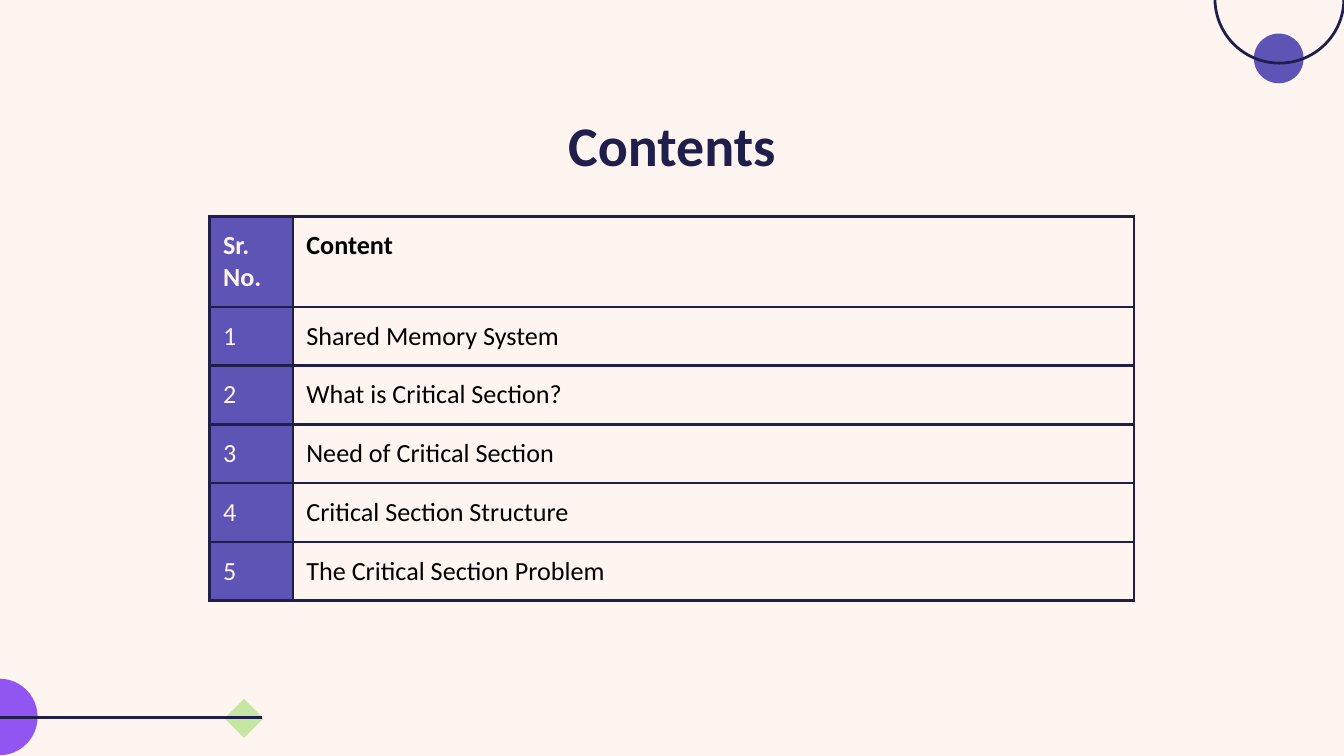
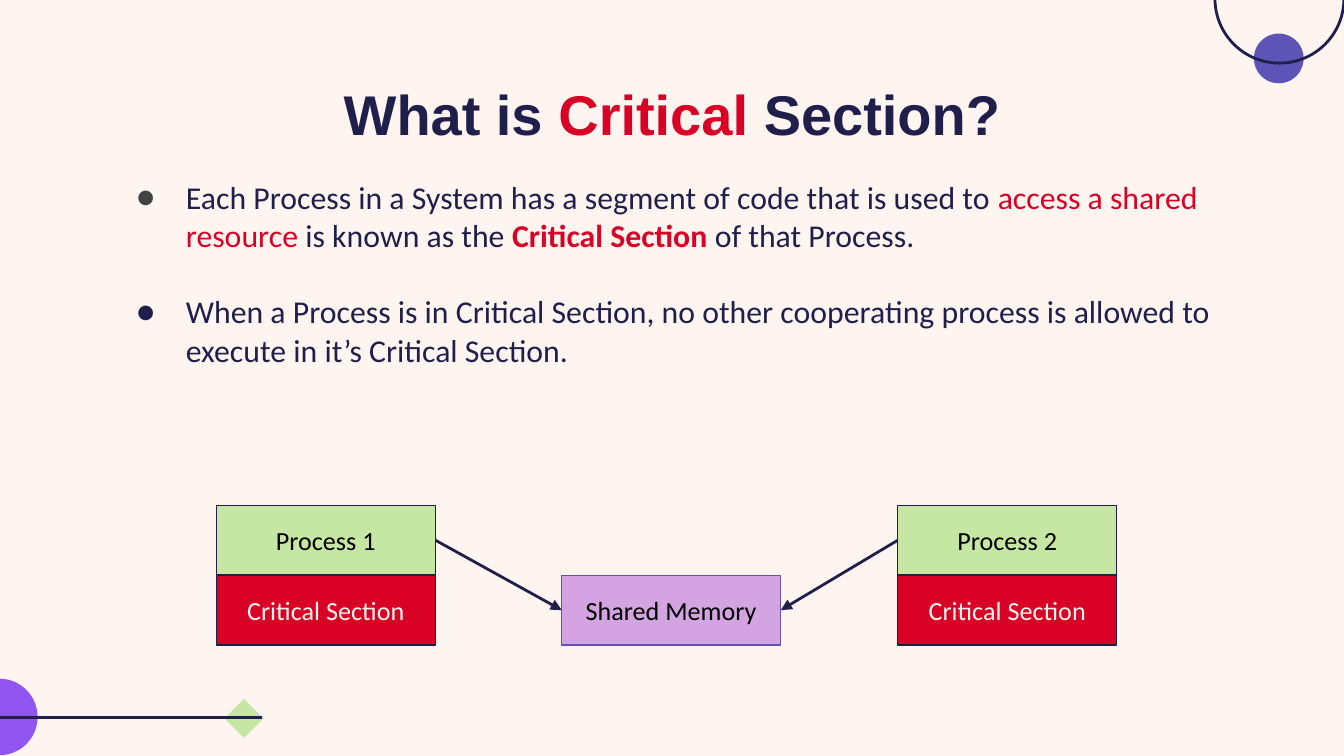
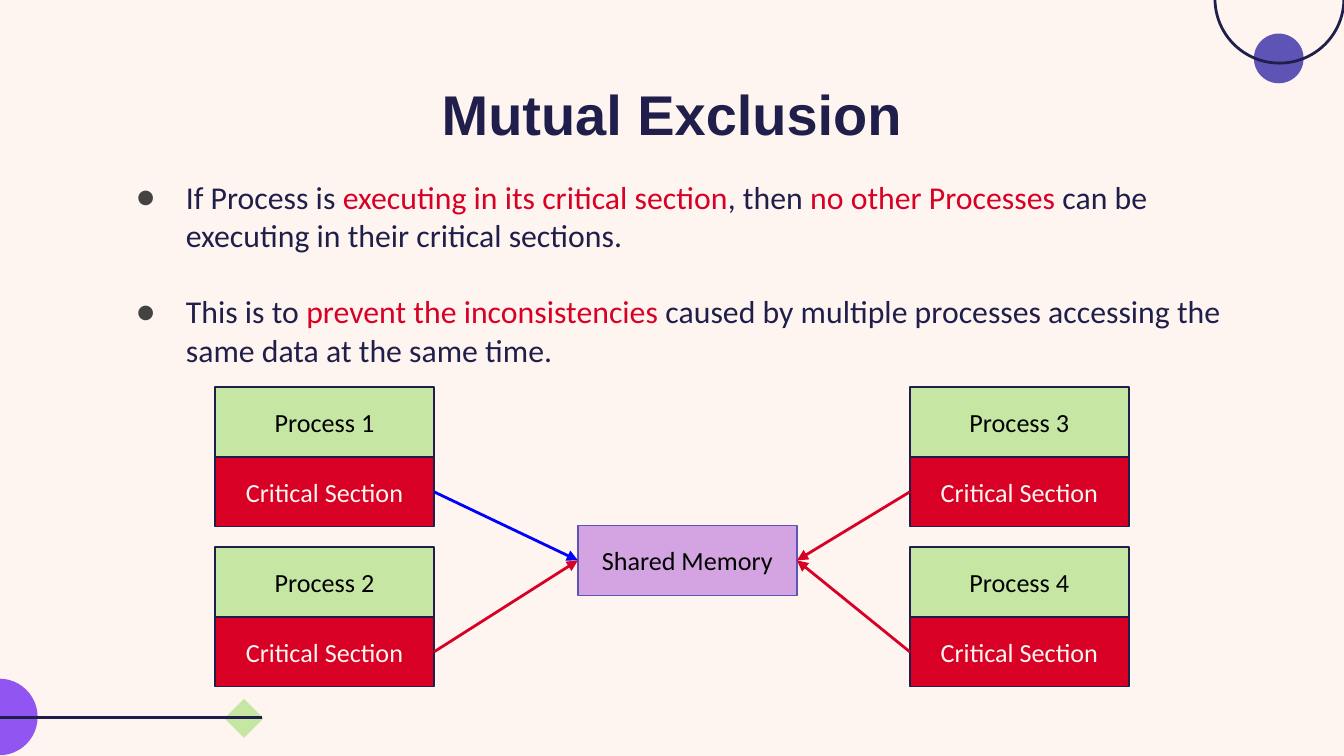
"""Build three slides on critical sections and mutual exclusion."""
import dataclasses

import lxml.etree
import pptx
import pptx.dml.color
import pptx.enum.shapes
import pptx.enum.text
import pptx.oxml.ns
import pptx.util

Inches, Pt = pptx.util.Inches, pptx.util.Pt
Color = pptx.dml.color.RGBColor.from_string
Shape = pptx.enum.shapes.MSO_SHAPE
Align, Anchor = pptx.enum.text.PP_ALIGN, pptx.enum.text.MSO_ANCHOR
qn = pptx.oxml.ns.qn


@dataclasses.dataclass(frozen=True)
class Theme:
    cream: str = "FEF5F0"
    navy: str = "201F4B"
    indigo: str = "5E54B5"
    violet: str = "9156F1"
    green: str = "C6E6A3"
    lilac: str = "D4A4E2"
    red: str = "D80024"
    blue: str = "0000FF"
    gray: str = "434343"
    black: str = "000000"
    body_font: str = "Calibri"
    title_font: str = "Arial"
    title_size: int = 30
    body_size: int = 17
    label_size: int = 14
    rule: float = 1.5
    border: float = 0.75
    inset: float = 0.1


theme = Theme()


def write(para, text, color=theme.navy, size=theme.label_size, font=theme.body_font, bold=False):
    span = para.add_run()
    span.text = text
    span.font.name, span.font.size, span.font.bold = font, Pt(size), bold
    span.font.color.rgb = Color(color)


def draw_line(page, start, end, color, arrow=False):
    points = [Inches(value) for value in (*start, *end)]
    line = page.shapes.add_connector(pptx.enum.shapes.MSO_CONNECTOR.STRAIGHT, *points)
    line.line.color.rgb = Color(color)
    line.line.width = Pt(theme.rule)
    if arrow:
        lxml.etree.SubElement(line.line._get_or_add_ln(), qn("a:tailEnd"), type="triangle")
    lxml.etree.SubElement(line.element.spPr, qn("a:effectLst"))
    return line


deck = pptx.Presentation()
deck.slide_width = Inches(10)
deck.slide_height = deck.slide_width * 9 // 16
text_width = Inches(8.43)
text_left = (deck.slide_width - text_width) // 2
background = deck.slide_master.background.fill
background.solid()
background.fore_color.rgb = Color(theme.cream)
layout = deck.slide_layouts[5]
for holder in list(layout.placeholders)[1:]:
    holder.element.getparent().remove(holder.element)

titles = [
    (0.72, theme.body_font, [("Contents", theme.navy)]),
    (0.49, theme.title_font, [("What is ", theme.navy), ("Critical ", theme.red), ("Section?", theme.navy)]),
    (0.49, theme.title_font, [("Mutual Exclusion", theme.navy)]),
]
pages = []
for top, font, spans in titles:
    page = deck.slides.add_slide(layout)
    pages.append(page)
    title = page.shapes.title
    title.left, title.top, title.width, title.height = text_left, Inches(top), text_width, Inches(0.63)
    frame = title.text_frame
    frame.auto_size = pptx.enum.text.MSO_AUTO_SIZE.NONE
    frame.vertical_anchor = Anchor.TOP
    frame.margin_left = frame.margin_right = frame.margin_top = frame.margin_bottom = Inches(theme.inset)
    frame.paragraphs[0].alignment = Align.CENTER
    for text, color in spans:
        write(frame.paragraphs[0], text, color=color, size=theme.title_size, font=font, bold=True)

contents_page = pages[0]
ornaments = []
for kind, left, top, side, fill in [
    (Shape.OVAL, -0.29, 5.05, 0.57, theme.violet),
    (Shape.DIAMOND, 1.67, 5.2, 0.29, theme.green),
    (Shape.OVAL, 9.33, 0.25, 0.37, theme.indigo),
    (Shape.OVAL, 9.04, -0.49, 0.96, None),
]:
    ornament = contents_page.shapes.add_shape(kind, Inches(left), Inches(top), Inches(side), Inches(side))
    ornament.shadow.inherit = False
    if fill:
        ornament.fill.solid()
        ornament.fill.fore_color.rgb = Color(fill)
        ornament.line.fill.background()
    else:
        ornament.fill.background()
        ornament.line.color.rgb = Color(theme.navy)
        ornament.line.width = Pt(theme.rule)
    ornaments.append(ornament)
ornaments.append(draw_line(contents_page, (1.95, 5.34), (-0.29, 5.34), theme.navy))
for ornament in ornaments:
    layout.shapes.element.append(ornament.element)

contents = [
    "Shared Memory System",
    "What is Critical Section?",
    "Need of Critical Section",
    "Critical Section Structure",
    "The Critical Section Problem",
]
rows = [("Sr. No.", "Content")] + [(str(number), text) for number, text in enumerate(contents, 1)]
table = contents_page.shapes.add_table(
    len(rows), 2, Inches(1.56), Inches(1.61), Inches(6.88), Inches(2.82)
).table
table.first_row = table.horz_banding = False
table.columns[0].width, table.columns[1].width = Inches(0.62), Inches(6.26)
for row_index, row in enumerate(rows):
    table.rows[row_index].height = Inches(0.43 if row_index else 0.67)
    for column_index, text in enumerate(row):
        cell = table.cell(row_index, column_index)
        cell.margin_left = cell.margin_right = cell.margin_top = cell.margin_bottom = Inches(theme.inset)
        properties = cell._tc.get_or_add_tcPr()
        for edge in ("a:lnL", "a:lnR", "a:lnT", "a:lnB"):
            border = lxml.etree.SubElement(properties, qn(edge), w=str(Pt(theme.rule)))
            paint = lxml.etree.SubElement(border, qn("a:solidFill"))
            lxml.etree.SubElement(paint, qn("a:srgbClr"), val=theme.navy)
        if column_index == 0:
            cell.fill.solid()
            cell.fill.fore_color.rgb = Color(theme.indigo)
        else:
            cell.fill.background()
        color = theme.black if column_index else theme.cream
        write(cell.text_frame.paragraphs[0], text, color=color, bold=row_index == 0)

plain, marked, strong = {}, {"color": theme.red}, {"color": theme.red, "bold": True}
topics = [
    {
        "bullets": [
            (theme.gray, [
                ("Each Process in a System has a segment of code that is used to ", plain),
                ("access a shared resource", marked),
                (" is known as the ", plain),
                ("Critical Section", strong),
                (" of that Process.", plain),
            ]),
            (theme.navy, [
                ("When a Process is in Critical Section, no other cooperating process is allowed "
                 "to execute in it’s Critical Section.", plain),
            ]),
        ],
        "body_height": 1.4,
        "memory": (4.18, 4.28),
        "arrow_source": 0,
        "processes": [(1.61, 3.76, theme.navy), (6.68, 3.76, theme.navy)],
    },
    {
        "bullets": [
            (theme.gray, [
                ("If Process is ", plain),
                ("executing in its critical section", marked),
                (", then ", plain),
                ("no other Processes", marked),
                (" can be executing in their critical sections.", plain),
            ]),
            (theme.gray, [
                ("This is to ", plain),
                ("prevent the inconsistencies", marked),
                (" caused by multiple processes accessing the same data at the same time.", plain),
            ]),
        ],
        "body_height": 1.58,
        "memory": (4.3, 3.91),
        "arrow_source": 1,
        "processes": [
            (1.6, 2.88, theme.blue), (1.6, 4.07, theme.red),
            (6.77, 2.88, theme.red), (6.77, 4.07, theme.red),
        ],
    },
]
box_width, box_height = 1.63, 0.52
top_site, left_site, bottom_site, right_site = range(4)
for page, topic in zip(pages[1:], topics):
    body = page.shapes.add_textbox(
        text_left, Inches(1.22), text_width, Inches(topic["body_height"])
    ).text_frame
    body.word_wrap = True
    body.margin_left = body.margin_right = body.margin_top = body.margin_bottom = Inches(theme.inset)
    for index, (bullet_color, spans) in enumerate(topic["bullets"]):
        para = body.add_paragraph() if index else body.paragraphs[0]
        para.space_before = Pt(20.7 if index else 0)
        properties = para._p.get_or_add_pPr()
        properties.set("marL", str(Inches(0.5)))
        properties.set("indent", str(Inches(-0.37)))
        paint = lxml.etree.SubElement(properties, qn("a:buClr"))
        lxml.etree.SubElement(paint, qn("a:srgbClr"), val=bullet_color)
        lxml.etree.SubElement(properties, qn("a:buFont"), typeface=theme.body_font)
        lxml.etree.SubElement(properties, qn("a:buChar"), char="●")
        for text, style in spans:
            write(para, text, size=theme.body_size, **style)

    labels = [("Shared Memory", *topic["memory"], theme.lilac, theme.indigo, theme.black)]
    for number, (left, top, _) in enumerate(topic["processes"], 1):
        labels.append((f"Process {number}", left, top, theme.green, theme.navy, theme.black))
        labels.append(("Critical Section", left, top + box_height, theme.red, theme.navy, theme.cream))
    boxes = []
    for text, left, top, fill, outline, color in labels:
        box = page.shapes.add_shape(
            Shape.RECTANGLE, Inches(left), Inches(top), Inches(box_width), Inches(box_height)
        )
        box.shadow.inherit = False
        box.fill.solid()
        box.fill.fore_color.rgb = Color(fill)
        box.line.color.rgb = Color(outline)
        box.line.width = Pt(theme.border)
        frame = box.text_frame
        frame.margin_left = frame.margin_right = frame.margin_top = frame.margin_bottom = Inches(theme.inset)
        frame.vertical_anchor = Anchor.MIDDLE
        frame.paragraphs[0].alignment = Align.CENTER
        write(frame.paragraphs[0], text, color=color)
        boxes.append(box)

    memory_box, *process_boxes = boxes
    source_boxes = process_boxes[topic["arrow_source"]::2]
    for source, (left, top, color) in zip(source_boxes, topic["processes"]):
        arrow = draw_line(page, (left, top), topic["memory"], color, arrow=True)
        on_left = left < topic["memory"][0]
        arrow.begin_connect(source, right_site if on_left else left_site)
        arrow.end_connect(memory_box, left_site if on_left else right_site)

deck.save("out.pptx")
